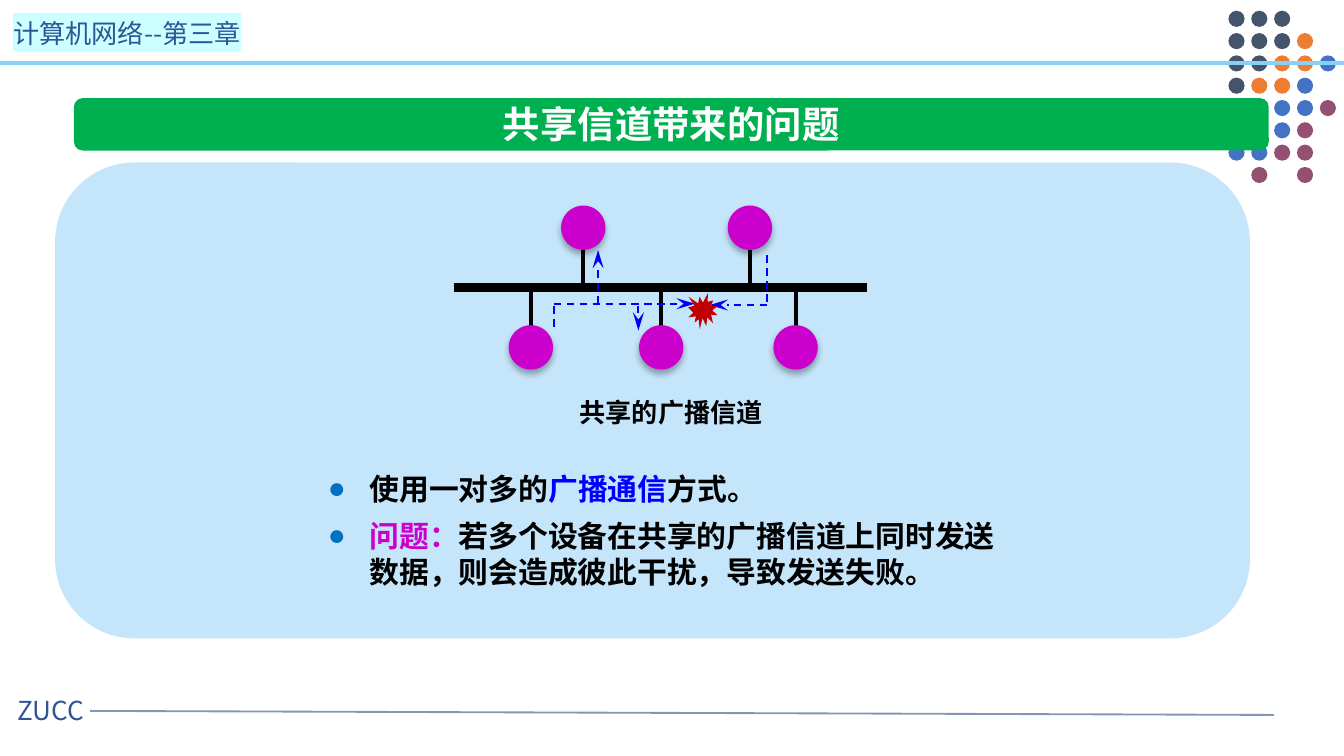
from lxml import etree
from pptx import Presentation
from pptx.dml.color import RGBColor
from pptx.enum.dml import MSO_LINE
from pptx.enum.shapes import MSO_CONNECTOR, MSO_SHAPE
from pptx.enum.text import MSO_ANCHOR, MSO_AUTO_SIZE, PP_ALIGN
from pptx.oxml.ns import qn
from pptx.util import Inches, Pt

THEME = {
    "font": "Noto Sans CJK SC",
    "small": 14, "body": 16, "title": 20,
    "navy": "2F5597", "highlight": "CCFFFF", "rule": "8497B0", "sky": "85D1F7",
    "green": "00B050", "panel": "C5E5FB", "white": "FFFFFF", "black": "000000",
    "node": "CC00CC", "signal": "0000FF", "bullet": "0070C0", "burst": "C00000",
}
HEADER = "计算机网络--第三章"
FOOTER = "ZUCC"
TITLE = "共享信道带来的问题"
CAPTION = "共享的广播信道"
BULLETS = [
    [("使用一对多的", "black"), ("广播通信", "signal"), ("方式。", "black")],
    [("问题：", "node"),
     ("若多个设备在共享的广播信道上同时发送数据，则会造成彼此干扰，导致发送失败。", "black")],
]
DOT_ROWS = ["NNN", "NNNO", "NNOOB", "NOOB", " OBBP", " BBP", "BBPP", " P P"]
DOT_COLORS = {"N": "44546A", "O": "ED7D31", "B": "4472C4", "P": "954F72"}
DOT_LEFT, DOT_TOP, DOT_STEP_X, DOT_STEP_Y, DOT_SIZE = 9.14, 0.08, 0.17, 0.166, 0.12

BUS_Y = 2.14
NODE_SIZE = 0.33
UPPER_NODES = {"top": 1.53, "stub_end": 1.81, "centers": [4.34, 5.58]}
LOWER_NODES = {"top": 2.42, "stub_end": 2.48, "centers": [3.95, 4.92, 5.92]}
SIGNALS = [
    ((5.71, 2.27), (5.28, 2.27), True),
    ((5.71, 1.9), (5.71, 2.27), False),
    ((4.12, 2.26), (5.17, 2.26), True),
    ((4.45, 2.26), (4.45, 1.86), True),
    ((4.75, 2.28), (4.75, 2.46), True),
    ((4.12, 2.28), (4.12, 2.46), False),
]


def rgb(name):
    return RGBColor.from_string(THEME.get(name, name))


def add_xml(parent, tag, **attributes):
    return etree.SubElement(parent, qn(tag), attributes)


def add_line(slide, start, end, color, width, dashed=False, arrow=False):
    line = slide.shapes.add_connector(
        MSO_CONNECTOR.STRAIGHT, *(Inches(value) for value in (*start, *end)))
    line.line.color.rgb = rgb(color)
    line.line.width = Pt(width)
    if dashed:
        line.line.dash_style = MSO_LINE.DASH
    if arrow:
        add_xml(line.line._get_or_add_ln(), "a:tailEnd", type="stealth", w="med", len="lg")
    add_xml(line.element.spPr, "a:effectLst")


def add_shape(slide, kind, at, color):
    shape = slide.shapes.add_shape(kind, *(Inches(value) for value in at))
    shape.fill.solid()
    shape.fill.fore_color.rgb = rgb(color)
    shape.line.fill.background()
    shape.shadow.inherit = False
    return shape


def add_shadow(shape):
    effects = shape.element.spPr.find(qn("a:effectLst"))
    shadow = add_xml(effects, "a:outerShdw", blurRad=str(Pt(3.5)), dist=str(Pt(2.2)),
                     dir="5400000", algn="t", rotWithShape="0")
    color = add_xml(shadow, "a:srgbClr", val=THEME["black"])
    add_xml(color, "a:alpha", val="32000")


def style_font(font, size, color=None, bold=False):
    font.size = Pt(size)
    font.bold = bold
    if color:
        font.color.rgb = rgb(color)
    font.name = THEME["font"]
    latin = font._element.find(qn("a:latin"))
    east_asian = etree.Element(qn("a:ea"), typeface=THEME["font"])
    latin.addnext(east_asian)


def set_bullet(para, character=None):
    properties = para._p.get_or_add_pPr()
    indent = Inches(0.31) if character else 0
    properties.set("marL", str(indent))
    properties.set("indent", str(-indent))
    if character:
        color = add_xml(properties, "a:buClr")
        add_xml(color, "a:srgbClr", val=THEME["bullet"])
        add_xml(properties, "a:buChar", char=character)
    else:
        add_xml(properties, "a:buNone")


def add_label(slide, at, text, highlight=None):
    box = slide.shapes.add_textbox(*(Inches(value) for value in at))
    box.text_frame.word_wrap = True
    para = box.text_frame.paragraphs[0]
    span = para.add_run()
    span.text = text
    style_font(para.font, THEME["small"], "navy")
    if highlight:
        mark = add_xml(span._r.get_or_add_rPr(), "a:highlight")
        add_xml(mark, "a:srgbClr", val=THEME[highlight])


def place(placeholder, at, wrap, anchor):
    placeholder.left, placeholder.top, placeholder.width, placeholder.height = (
        Inches(value) for value in at)
    frame = placeholder.text_frame
    frame.word_wrap = wrap
    frame.auto_size = MSO_AUTO_SIZE.NONE
    frame.vertical_anchor = anchor
    tree = placeholder.element.getparent()
    tree.append(placeholder.element)
    return frame


def add_template(slide):
    add_line(slide, (0.02, 0.47), (9.05, 0.47), "rule", 1)
    add_line(slide, (0.67, 5.29), (9.48, 5.32), "rule", 1)
    add_label(slide, (0.03, 5.12, 0.89, 0.34), FOOTER)
    add_label(slide, (0, 0.08, 2.16, 0.34), HEADER, "highlight")
    for row, codes in enumerate(DOT_ROWS):
        for column, code in enumerate(codes):
            if code in DOT_COLORS:
                at = (DOT_LEFT + column * DOT_STEP_X, DOT_TOP + row * DOT_STEP_Y,
                      DOT_SIZE, DOT_SIZE)
                add_shape(slide, MSO_SHAPE.OVAL, at, DOT_COLORS[code])
    add_line(slide, (0, 0.47), (10, 0.47), "sky", 2)


def add_title(slide):
    add_shape(slide, MSO_SHAPE.ROUNDED_RECTANGLE, (0.55, 0.73, 8.89, 0.39), "green")
    frame = place(slide.shapes.title, (3.63, 0.7, 2.73, 0.44), False, MSO_ANCHOR.MIDDLE)
    para = frame.paragraphs[0]
    para.add_run().text = TITLE
    para.alignment = PP_ALIGN.CENTER
    style_font(para.font, THEME["title"], "white", True)


def add_network(slide):
    add_line(slide, (3.38, BUS_Y), (6.45, BUS_Y), "black", 4.5)
    for group in (UPPER_NODES, LOWER_NODES):
        for center in group["centers"]:
            add_line(slide, (center, group["stub_end"]), (center, BUS_Y), "black", 2.25)
            at = (center - NODE_SIZE / 2, group["top"], NODE_SIZE, NODE_SIZE)
            add_shadow(add_shape(slide, MSO_SHAPE.OVAL, at, "node"))


def add_body(slide):
    frame = place(slide.placeholders[1], (2.34, 2.9, 5.31, 1.55), True, MSO_ANCHOR.TOP)
    para = frame.paragraphs[0]
    para.add_run().text = CAPTION
    para.alignment = PP_ALIGN.CENTER
    para.space_before = Pt(0)
    set_bullet(para)
    style_font(para.font, THEME["small"], "black", True)
    for spans, gap in zip(BULLETS, (23, 6)):
        para = frame.add_paragraph()
        para.space_before = Pt(gap)
        set_bullet(para, "●")
        style_font(para.font, THEME["body"], bold=True)
        for text, color in spans:
            span = para.add_run()
            span.text = text
            span.font.color.rgb = rgb(color)


def main():
    deck = Presentation()
    deck.slide_width, deck.slide_height = Inches(10), Inches(5.625)
    slide = deck.slides.add_slide(deck.slide_layouts[1])
    add_template(slide)
    add_title(slide)
    add_shape(slide, MSO_SHAPE.ROUNDED_RECTANGLE, (0.41, 1.21, 8.89, 3.54), "panel")
    add_network(slide)
    add_body(slide)
    for start, end, arrow in SIGNALS:
        add_line(slide, start, end, "signal", 1, dashed=True, arrow=arrow)
    add_shape(slide, MSO_SHAPE.EXPLOSION1, (5.12, 2.18, 0.22, 0.27), "burst")
    deck.save("out.pptx")


if __name__ == "__main__":
    main()
